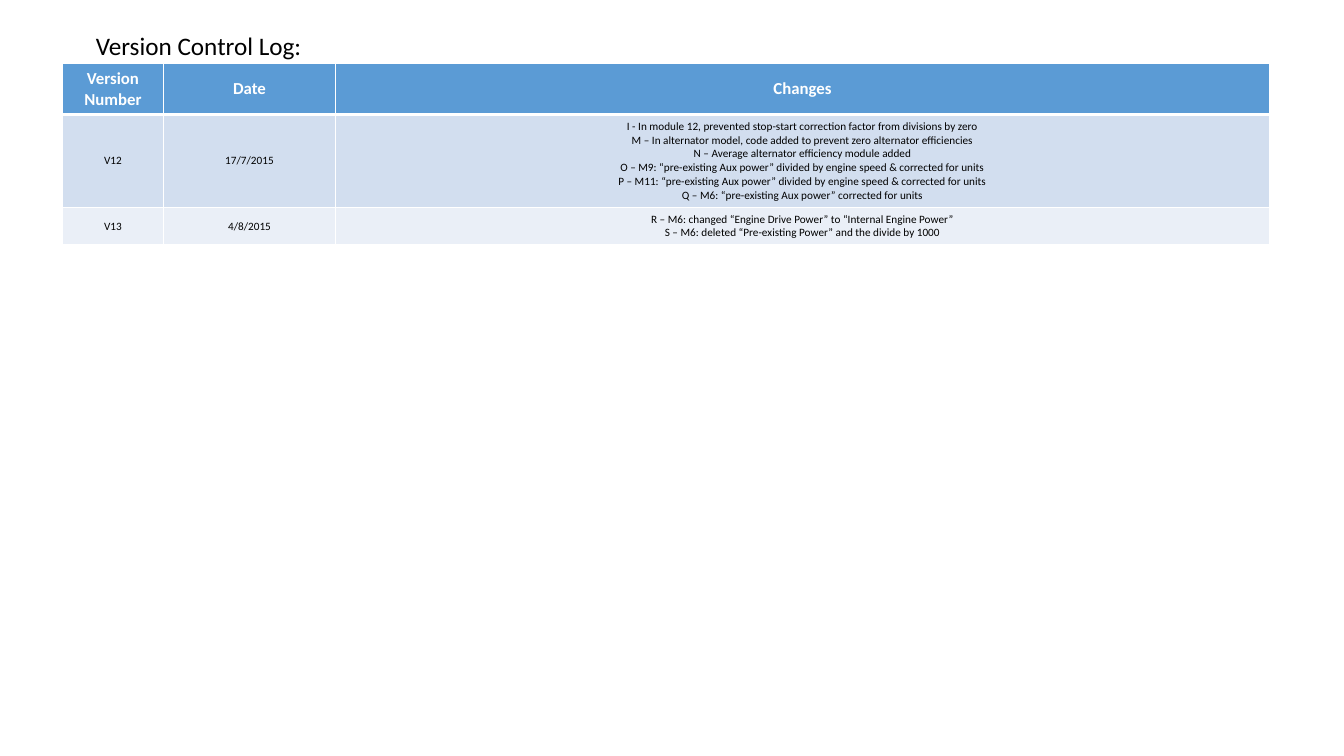
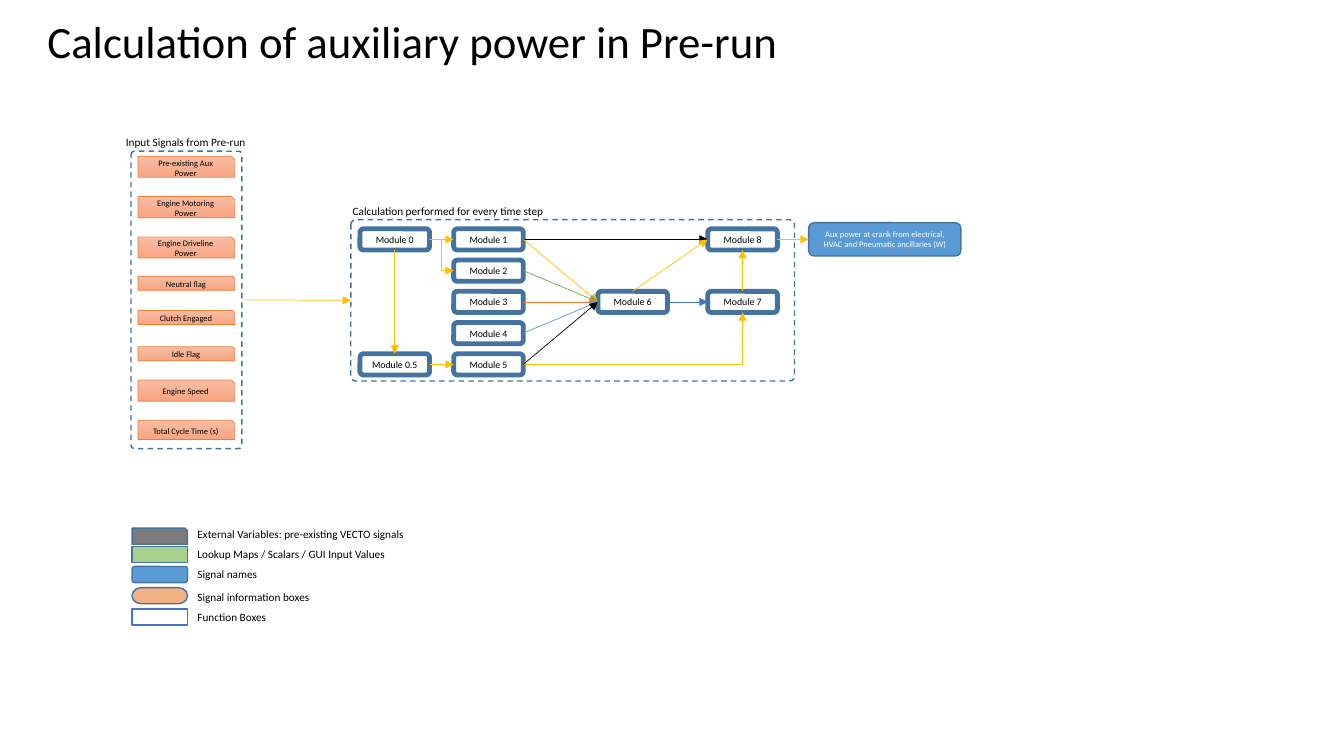
"""Builds the version log and the Pre-run auxiliary power diagram."""
from lxml.etree import SubElement
from pptx import Presentation
from pptx.dml.color import RGBColor
from pptx.enum.dml import MSO_LINE
from pptx.enum.shapes import MSO_CONNECTOR, MSO_SHAPE
from pptx.enum.text import MSO_ANCHOR, MSO_AUTO_SIZE, PP_ALIGN
from pptx.oxml.ns import qn
from pptx.util import Inches, Pt

COLORS = {
    "black": "000000", "white": "FFFFFF", "blue": "5B9BD5", "navy": "43739E",
    "royal": "4472C4", "gold": "FFC000", "green": "70AD47", "orange": "ED7D31",
    "band_dark": "D2DEEF", "band_light": "EAEFF7", "gray": "7C7C7C",
    "lime": "A9D18E", "peach": "F4B183", "blush": "F7BDA5", "salmon": "F8A582",
}
TOP, LEFT, BOTTOM, RIGHT = range(4)

LOG_COLUMNS = (1, 1.71, 9.26)
LOG_HEIGHTS = (0.5, 0.9, 0.37)
LOG_ROWS = (
    ("Version Number", "Date", "Changes"),
    ("V12", "17/7/2015", "\n".join((
        "I - In module 12, prevented stop-start correction factor from divisions by zero",
        "M – In alternator model, code added to prevent zero alternator efficiencies",
        "N – Average alternator efficiency module added",
        "O – M9: “pre-existing Aux power” divided by engine speed & corrected for units",
        "P – M11: “pre-existing Aux power” divided by engine speed & corrected for units",
        "Q – M6: “pre-existing Aux power” corrected for units"))),
    ("V13", "4/8/2015", "\n".join((
        "R – M6: changed “Engine Drive Power” to “Internal Engine Power”",
        "S – M6: deleted “Pre-existing Power” and the divide by 1000"))),
)

SIGNALS = (
    ("Pre-existing Aux Power", 1.55, 0.21),
    ("Engine Motoring Power", 1.95, 0.21),
    ("Engine Driveline Power", 2.35, 0.21),
    ("Neutral flag", 2.74, 0.14),
    ("Clutch Engaged", 3.08, 0.14),
    ("Idle Flag", 3.44, 0.14),
    ("Engine Speed", 3.77, 0.21),
    ("Total Cycle Time (s)", 4.17, 0.19),
)

MODULE_COLUMNS = (3.57, 4.5, 5.93, 7.02)
MODULE_TOP, MODULE_STEP = 2.27, 0.31
MODULES = {
    "0": (0, 0), "0.5": (0, 4), "1": (1, 0), "2": (1, 1), "3": (1, 2),
    "4": (1, 3), "5": (1, 4), "6": (2, 2), "7": (3, 2), "8": (3, 0),
}
FLOWS = (
    ("6", RIGHT, "7", LEFT, "royal", None),
    ("1", RIGHT, "8", LEFT, "black", None),
    ("7", TOP, "8", BOTTOM, "gold", None),
    ("8", RIGHT, "result", LEFT, "gold", None),
    ("inputs", RIGHT, "steps", LEFT, "gold", None),
    ("0", RIGHT, "1", LEFT, "gold", None),
    ("0", RIGHT, "2", LEFT, "gold", "bentConnector3"),
    ("0", BOTTOM, "0.5", TOP, "gold", None),
    ("0.5", RIGHT, "5", LEFT, "gold", None),
    ("5", RIGHT, "7", BOTTOM, "gold", "bentConnector2"),
    ("1", RIGHT, "6", LEFT, "gold", None),
    ("2", RIGHT, "6", LEFT, "green", None),
    ("3", RIGHT, "6", LEFT, "orange", None),
    ("4", RIGHT, "6", LEFT, "blue", None),
    ("5", RIGHT, "6", LEFT, "black", None),
    ("6", TOP, "8", LEFT, "gold", None),
)

LEGEND = (
    ("External Variables: pre-existing VECTO signals",
     MSO_SHAPE.SNIP_1_RECTANGLE, "gray", "navy", 5.24, 5.18, 2.28),
    ("Lookup Maps / Scalars / GUI Input Values",
     MSO_SHAPE.RECTANGLE, "lime", "navy", 5.42, 5.38, 2.11),
    ("Signal names",
     MSO_SHAPE.ROUNDED_RECTANGLE, "blue", "navy", 5.62, 5.58, 0.8),
    ("Signal information boxes",
     MSO_SHAPE.FLOWCHART_TERMINATOR, "peach", "navy", 5.83, 5.81, 1.33),
    ("Function Boxes",
     MSO_SHAPE.RECTANGLE, "white", "royal", 6.04, 6.01, 0.9),
)


def rgb(name):
    """Return the named colour."""
    return RGBColor.from_string(COLORS[name])


def write_text(frame, text, size=8, color="black", bold=False,
               align=PP_ALIGN.LEFT, anchor=MSO_ANCHOR.TOP, wrap=True):
    """Fill a text frame with one formatted paragraph per line."""
    frame.word_wrap = wrap
    frame.vertical_anchor = anchor
    for index, line in enumerate(text.split("\n")):
        para = frame.paragraphs[0] if index == 0 else frame.add_paragraph()
        para.alignment = align
        span = para.add_run()
        span.text = line
        span.font.name = "Calibri"
        span.font.size = Pt(size)
        span.font.bold = bold
        span.font.color.rgb = rgb(color)


class SlideBuilder:
    """Holds the deck style and the current slide."""

    def __init__(self):
        """Start a widescreen deck."""
        self.deck = Presentation()
        self.deck.slide_width = Inches(13.33)
        self.deck.slide_height = Inches(7.5)
        self.page = None

    def place(self, left, top, width, height):
        """Convert a box in inches to lengths."""
        return [Inches(value) for value in (left, top, width, height)]

    def add_page(self, title, at, size):
        """Add a slide with its title moved into place."""
        self.page = self.deck.slides.add_slide(self.deck.slide_layouts[5])
        box = self.page.shapes.title
        box.left, box.top, box.width, box.height = self.place(*at)
        write_text(box.text_frame, title, size=size, wrap=False)
        box.text_frame.auto_size = MSO_AUTO_SIZE.NONE

    def add_label(self, text, at):
        """Add a small caption."""
        box = self.page.shapes.add_textbox(*self.place(*at))
        write_text(box.text_frame, text, wrap=False)

    def add_box(self, kind, at, fill=None, line="navy", weight=1, text="",
                size=6, color="black", dash=None, corner=None):
        """Add an outlined shape with a plain, graded or empty fill."""
        box = self.page.shapes.add_shape(kind, *self.place(*at))
        box.shadow.inherit = False
        if corner is not None:
            box.adjustments[0] = corner
        if fill is None:
            box.fill.background()
        elif isinstance(fill, tuple):
            box.fill.gradient()
            box.fill.gradient_angle = 270
            for stop, name in zip(box.fill.gradient_stops, fill):
                stop.color.rgb = rgb(name)
        else:
            box.fill.solid()
            box.fill.fore_color.rgb = rgb(fill)
        box.line.color.rgb = rgb(line)
        box.line.width = Pt(weight)
        if dash is not None:
            box.line.dash_style = dash
        if text:
            write_text(box.text_frame, text, size=size, color=color,
                       align=PP_ALIGN.CENTER, anchor=MSO_ANCHOR.MIDDLE)
        return box

    def add_arrow(self, start, start_side, end, end_side, color, bend):
        """Join two boxes with an arrow."""
        kind = MSO_CONNECTOR.ELBOW if bend else MSO_CONNECTOR.STRAIGHT
        arrow = self.page.shapes.add_connector(kind, 0, 0, 0, 0)
        arrow.begin_connect(start, start_side)
        arrow.end_connect(end, end_side)
        arrow.line.color.rgb = rgb(color)
        arrow.line.width = Pt(0.5)
        properties = arrow._element.spPr
        if bend:
            properties.find(qn("a:prstGeom")).set("prst", bend)
        SubElement(properties.find(qn("a:ln")), qn("a:tailEnd"), type="triangle")
        SubElement(properties, qn("a:effectLst"))

    def add_borders(self, cell, bottom):
        """Draw white borders around a table cell."""
        properties = cell._tc.get_or_add_tcPr()
        for side, weight in zip("LRTB", (1, 1, 1, bottom)):
            border = SubElement(properties, qn(f"a:ln{side}"), w=str(Pt(weight)))
            paint = SubElement(border, qn("a:solidFill"))
            SubElement(paint, qn("a:srgbClr"), val=COLORS["white"])

    def add_table(self, rows, widths, heights, left, top):
        """Add a banded table with a header row."""
        at = self.place(left, top, sum(widths), sum(heights))
        table = self.page.shapes.add_table(len(rows), len(widths), *at).table
        for column, width in zip(table.columns, widths):
            column.width = Inches(width)
        for index, texts in enumerate(rows):
            table.rows[index].height = Inches(heights[index])
            header = index == 0
            band = "blue" if header else ("band_light", "band_dark")[index % 2]
            for cell, text in zip(table.rows[index].cells, texts):
                self.add_borders(cell, 3 if header else 1)
                cell.fill.solid()
                cell.fill.fore_color.rgb = rgb(band)
                cell.vertical_anchor = MSO_ANCHOR.MIDDLE
                write_text(cell.text_frame, text, size=12 if header else 8,
                           color="white" if header else "black", bold=header,
                           align=PP_ALIGN.CENTER, anchor=MSO_ANCHOR.MIDDLE)


def build_log(builder):
    """Build the version control slide."""
    builder.add_page("Version Control Log:", (0.85, 0.25, 2.26, 0.4), 18)
    builder.add_table(LOG_ROWS, LOG_COLUMNS, LOG_HEIGHTS, 0.62, 0.63)


def build_diagram(builder):
    """Build the module diagram slide."""
    builder.add_page("Calculation of auxiliary power in Pre-run",
                     (0.37, 0.09, 7.55, 0.64), 32)
    rounded = MSO_SHAPE.ROUNDED_RECTANGLE
    boxes = {}
    for name, (column, row) in MODULES.items():
        at = (MODULE_COLUMNS[column], MODULE_TOP + row * MODULE_STEP, 0.69, 0.21)
        boxes[name] = builder.add_box(rounded, at, fill="white", weight=3.5,
                                      text=f"Module {name}", size=7)
        frame = boxes[name].text_frame
        frame.margin_left = frame.margin_right = Inches(0.02)
    boxes["result"] = builder.add_box(
        rounded, (8.02, 2.21, 1.51, 0.33), fill="blue", color="white",
        text="Aux power at crank from electrical, HVAC and Pneumatic ancillaries (W)")
    for text, top, height in SIGNALS:
        builder.add_box(MSO_SHAPE.SNIP_1_RECTANGLE, (1.37, top, 0.96, height),
                        fill=("blush", "salmon"), line="orange", weight=0.5,
                        text=text)
    for name, at in (("inputs", (1.3, 1.5, 1.1, 2.95)),
                     ("steps", (3.48, 2.18, 4.4, 1.6))):
        boxes[name] = builder.add_box(rounded, at, dash=MSO_LINE.DASH, corner=0.03)
    builder.add_label("Input Signals from Pre-run", (1.15, 1.29, 1.4, 0.24))
    builder.add_label("Calculation performed for every time step",
                      (3.4, 1.98, 2.14, 0.24))
    for start, start_side, end, end_side, color, bend in FLOWS:
        builder.add_arrow(boxes[start], start_side, boxes[end], end_side, color, bend)
    for text, kind, fill, line, top, label_top, width in LEGEND:
        builder.add_box(kind, (1.31, top, 0.55, 0.16), fill=fill, line=line)
        builder.add_label(text, (1.86, label_top, width, 0.24))


def main():
    """Build and save the deck."""
    builder = SlideBuilder()
    build_log(builder)
    build_diagram(builder)
    builder.deck.save("out.pptx")


if __name__ == "__main__":
    main()
